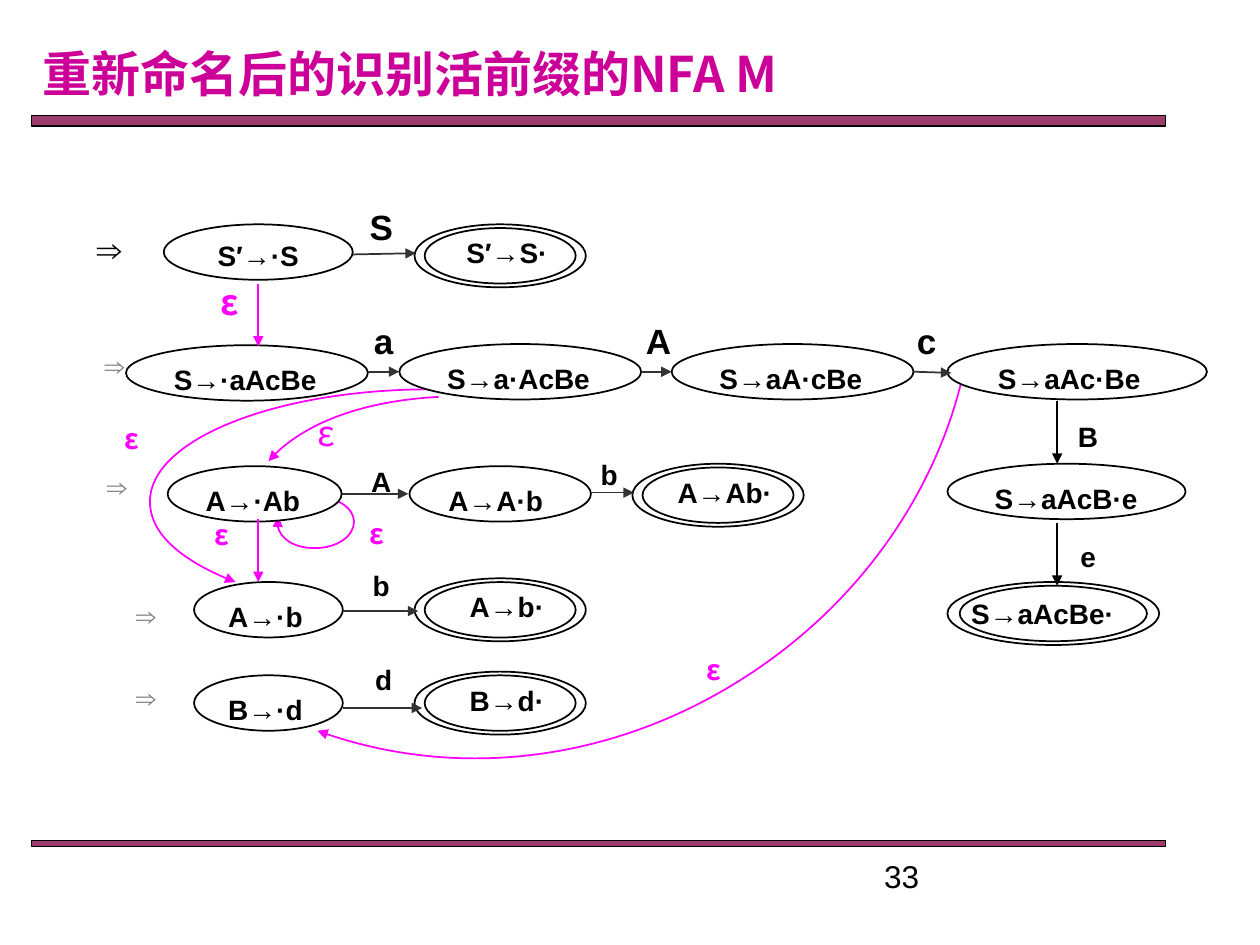
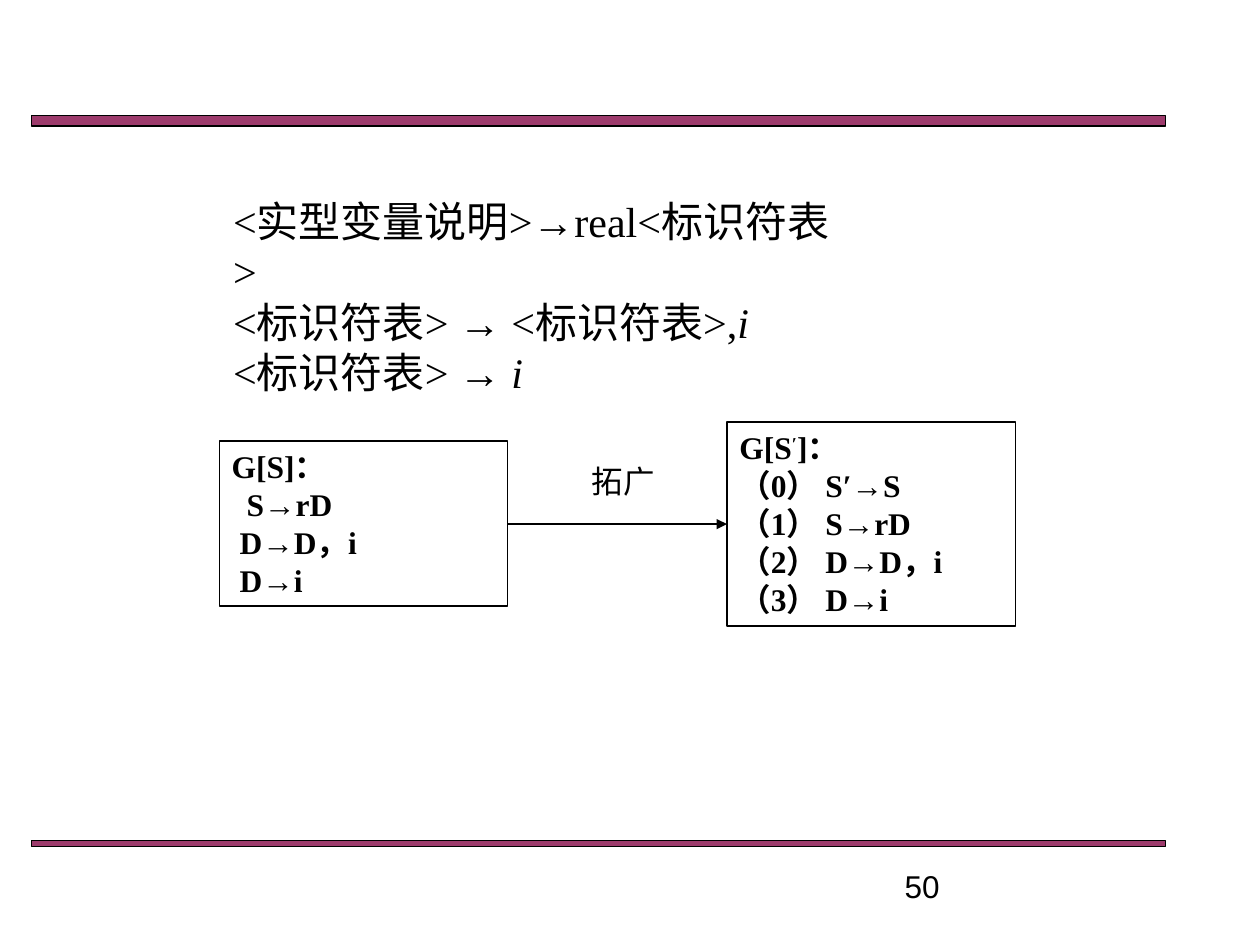
from lxml.etree import SubElement
from pptx import Presentation
from pptx.dml.color import RGBColor
from pptx.enum.shapes import MSO_CONNECTOR as Connector, MSO_SHAPE as Preset
from pptx.enum.text import MSO_ANCHOR as Anchor, MSO_AUTO_SIZE as AutoSize, PP_ALIGN as Align
from pptx.oxml.ns import qn
from pptx.util import Pt

COLORS = {
    "band": "993366", "title": "CC0099", "epsilon": "FF00FF", "edge": "333333",
    "black": "000000", "grey": "808080", "white": "FFFFFF",
}
CJK = "Noto Sans CJK SC"
BANDS = [(18, 66.2, 648, 5.8), (18, 480.2, 648, 3.6)]

NFA_TITLE = "重新命名后的识别活前缀的NFA M"
NFA_PAGE = ("33", 498.2, 486)
STATE_HEIGHT = 31.7
FINAL_HEIGHT = 36
START_STATE = ("S′→·S", 93.6, 128.2, 108)
STATES = [
    ("S→·aAcBe", 72, 197.3, 138.2),
    ("S→a·AcBe", 228.2, 196.6, 138.2),
    ("S→aA·cBe", 383.8, 196.6, 138.2),
    ("S→aAc·Be", 541.4, 196.6, 148.3),
    ("S→aAcB·e", 541.4, 265, 136.1),
    ("A→·Ab", 95.8, 266.4, 99.4),
    ("A→A·b", 234, 266.4, 103.7),
    ("A→·b", 110.9, 332.6, 85),
    ("B→·d", 110.9, 385.9, 85),
]
FINAL_STATES = [
    ("S′→S·", 236.9, 128.2, 97.9, 5.8),
    ("A→Ab·", 361.4, 265, 97.9, 5.8),
    ("A→b·", 236.9, 330.5, 97.9, 5.8),
    ("B→d·", 236.9, 383.8, 97.9, 5.8),
]
LAST_STATE = ("S→aAcBe·", 541.4, 332.6, 121, 7)
EDGES = {
    "edge": [
        (201.6, 145.4, 237.6, 144.7), (210.2, 212.4, 228.2, 212.4),
        (366.5, 212.4, 383.8, 212.4), (522, 212.4, 543.6, 213.1),
        (195.2, 282.2, 233.3, 282.2), (337.7, 281.5, 362.2, 281.5),
        (195.9, 349.2, 239, 349.2), (195.9, 404.6, 241.2, 404.6),
    ],
    "black": [(604.1, 229, 604.1, 265), (604.1, 298.8, 604.1, 334.8)],
    "epsilon": [(147.6, 162, 147.6, 198), (147.6, 296.6, 147.6, 332.6)],
}
EPSILON_CURVES = [
    [(549.4, 218.2), (533.5, 282.2), (493.2, 339.8), (437, 379.4),
     (360.7, 433.4), (264.2, 447.8), (181.4, 417.6)],
    [(246.2, 222.5), (157.7, 222.5), (85.7, 251.3), (85.7, 286.6),
     (85.7, 303.8), (103, 320.4), (134.6, 332.6)],
    [(250.6, 226.8), (208.8, 229), (171.4, 242.6), (153.4, 263.5)],
    [(165.6, 287.3), (169.2, 285.1), (175, 283.7), (180, 283.7),
     (192.2, 283.7), (202.3, 290.2), (202.3, 298.1),
     (202.3, 306.7), (192.2, 313.2), (180, 313.2),
     (167.8, 313.2), (158.4, 306.7), (158.4, 298.1),
     (158.4, 297.4), (158.4, 296), (159.1, 295.2)],
]
SYMBOLS = [
    ("S", 200.2, 113.8, 20), ("a", 201.6, 179.3, 20), ("A", 358.6, 179.3, 20),
    ("c", 511.9, 179.3, 20), ("B", 604.1, 236.2, 16), ("e", 604.1, 304.6, 16),
    ("A", 200.2, 262.1, 16), ("b", 330.5, 257.8, 16), ("b", 200.2, 321.1, 16),
    ("d", 201.6, 375.1, 16),
]
EPSILONS = [
    (396.7, 369.4, 16, True), (118.8, 157, 20, True), (64.1, 237.6, 16, True),
    (174.2, 231.8, 20, False), (204.3, 291.6, 16, True), (115.2, 292.3, 16, True),
]
ENTRIES = [
    (48.2, 126.7, 20, "black"), (52.6, 195.8, 16, "grey"), (54, 265, 16, "grey"),
    (70.6, 338.4, 16, "grey"), (70.6, 385.2, 16, "grey"),
]

GRAMMAR_PAGE = ("50", 509.8, 491.8)
ITALIC_I = ("i", {"italic": True})
DECLARATION_RULES = [
    ["<实型变量说明>→real<标识符表>"],
    ["<标识符表> → <标识符表>,", ITALIC_I],
    ["<标识符表> → ", ITALIC_I],
]
GRAMMARS = [
    ((125.3, 252, 164.9, 94.3),
     [["G[S]："], ["S→rD"], ["D→D，i"], ["D→i"]], [0, 8.5, 4.5, 4.5]),
    ((415.4, 241.2, 164.9, 116.6),
     [["G[S", ("′", {"baseline": "30000"}), "]："], ["（0） S′→S"], ["（1） S→rD"],
      ["（2） D→D，i"], ["（3） D→i"]], [0] * 5),
]
EXTENSION_ARROW = (290.2, 299.5, 415.4, 299.5)
EXTENSION_LABEL = "拓广"


def rgb(color):
    return RGBColor.from_string(COLORS[color])


def points(values):
    return [Pt(value) for value in values]


def apply(target, formats):
    for attribute, value in formats.items():
        setattr(target, attribute, value)


def write(frame, lines, font, color="black", paragraph=None, indents=None):
    apply(frame, {"word_wrap": True, "auto_size": AutoSize.NONE, "vertical_anchor": Anchor.TOP})
    for index, line in enumerate(lines):
        par = frame.paragraphs[0] if index == 0 else frame.add_paragraph()
        apply(par, {"alignment": Align.LEFT} | (paragraph or {}))
        if indents:
            properties = par._p.get_or_add_pPr()
            properties.set("marL", str(Pt(indents[index])))
            properties.set("indent", "0")
            SubElement(properties, qn("a:buNone"))
        for piece in line:
            text, extra = (piece, {}) if isinstance(piece, str) else piece
            run = par.add_run()
            run.text = text
            formats = font | extra
            baseline = formats.pop("baseline", None)
            apply(run.font, formats)
            run.font.color.rgb = rgb(color)
            if baseline:
                run.font._element.set("baseline", baseline)
            if font["name"] == CJK:
                SubElement(run.font._element, qn("a:ea"), typeface=CJK)


def arial(size, bold=True):
    return {"name": "Arial", "size": Pt(size), "bold": bold}


def add_label(shapes, text, box, font, color="black", **paragraph):
    write(shapes.add_textbox(*points(box)).text_frame, [[text]], font, color, paragraph)


def outline(shape, color="black", width=1, fill=None):
    shape.shadow.inherit = False
    shape.line.color.rgb = rgb(color)
    shape.line.width = Pt(width)
    if fill:
        shape.fill.solid()
        shape.fill.fore_color.rgb = rgb(fill)
    else:
        shape.fill.background()


def add_arrowhead(shape):
    SubElement(shape.line._get_or_add_ln(), qn("a:tailEnd"), type="triangle")


def add_arrow(slide, ends, color, width=1):
    arrow = slide.shapes.add_connector(Connector.STRAIGHT, *points(ends))
    arrow.line.color.rgb = rgb(color)
    arrow.line.width = Pt(width)
    add_arrowhead(arrow)
    SubElement(arrow._element.spPr, qn("a:effectLst"))


def add_curve(slide, knots):
    start, *controls = [points(knot) for knot in knots]
    builder = slide.shapes.build_freeform(*start)
    builder.add_line_segments(controls, close=False)
    curve = builder.convert_to_shape()
    outline(curve, "epsilon")
    add_arrowhead(curve)
    outline_path = next(curve._element.iter(qn("a:path")))
    for index, segment in enumerate(outline_path.findall(qn("a:lnTo"))):
        if index % 3 == 0:
            bezier = SubElement(outline_path, qn("a:cubicBezTo"))
        bezier.append(segment[0])
        outline_path.remove(segment)


def add_state(slide, text, left, top, width, **paragraph):
    state = slide.shapes.add_shape(Preset.OVAL, *points((left, top, width, STATE_HEIGHT)))
    outline(state, fill="white")
    if "line_spacing" in paragraph:
        state.text_frame.margin_right = 0
    write(state.text_frame, [[text]], arial(16), paragraph=paragraph)


def add_final_state(slide, text, left, top, width, gap, **paragraph):
    shapes = slide.shapes.add_group_shape().shapes
    inner = (left + gap, top + 2.15, width - 2 * gap, STATE_HEIGHT)
    for ring in (inner, (left, top, width, FINAL_HEIGHT)):
        outline(shapes.add_shape(Preset.OVAL, *points(ring)))
    add_label(shapes, text, (left + gap - 0.5, top + 3, width - 2.9, STATE_HEIGHT),
              arial(16), **paragraph)


def add_bands(prs, slide):
    for box in BANDS:
        band = slide.shapes.add_shape(Preset.RECTANGLE, *points(box))
        outline(band, width=0.75, fill="band")
        tint = band._element.spPr.find(qn("a:solidFill"))[0]
        SubElement(tint, qn("a:alpha"), val="96000")
        prs.slide_master.shapes._spTree.append(band._element)


def add_page_number(slide, number, left, top):
    add_label(slide.shapes, number, (left, top, 167.8, 19.4), arial(18, False))


def place(placeholder, box):
    apply(placeholder, dict(zip(("left", "top", "width", "height"), points(box))))


def build_nfa(slide):
    title = slide.shapes.title
    place(title, (17.3, 21.5, 520, 48.2))
    write(title.text_frame, [[NFA_TITLE]], {"name": CJK, "size": Pt(28), "bold": True}, "title")
    for knots in EPSILON_CURVES:
        add_curve(slide, knots)
    add_state(slide, *START_STATE, alignment=Align.CENTER)
    for state in STATES:
        add_state(slide, *state, line_spacing=1.1)
    for state in FINAL_STATES:
        add_final_state(slide, *state, alignment=Align.CENTER)
    add_final_state(slide, *LAST_STATE, line_spacing=1.1)
    for color, edges in EDGES.items():
        for ends in edges:
            add_arrow(slide, ends, color)
    for symbol, left, top, size in SYMBOLS:
        add_label(slide.shapes, symbol, (left, top, 35.3, STATE_HEIGHT), arial(size),
                  alignment=Align.CENTER)
    for left, top, size, bold in EPSILONS:
        add_label(slide.shapes, "ε", (left, top, 38, STATE_HEIGHT),
                  {"name": CJK, "size": Pt(size), "bold": bold}, "epsilon")
    for left, top, size, color in ENTRIES:
        add_label(slide.shapes, "⇒", (left, top, 46.8, 28.1), arial(size, color == "black"), color)
    add_page_number(slide, *NFA_PAGE)


def build_grammar(slide):
    title, rules = slide.placeholders
    title._element.getparent().remove(title._element)
    place(rules, (126, 108, 360, 122))
    times = {"name": "Times New Roman", "size": Pt(24), "bold": False}
    write(rules.text_frame, DECLARATION_RULES, times,
          paragraph={"space_before": Pt(0)}, indents=[0] * len(DECLARATION_RULES))
    for box, lines, indents in GRAMMARS:
        grammar = slide.shapes.add_shape(Preset.RECTANGLE, *points(box))
        outline(grammar, width=0.75)
        write(grammar.text_frame, lines, times | {"size": Pt(18), "bold": True}, indents=indents)
    add_arrow(slide, EXTENSION_ARROW, "black", 0.75)
    add_label(slide.shapes, EXTENSION_LABEL, (330.5, 260.6, 51.1, 28.8), arial(18, False),
              alignment=Align.CENTER)
    add_page_number(slide, *GRAMMAR_PAGE)


def main():
    prs = Presentation()
    apply(prs, {"slide_width": Pt(720), "slide_height": Pt(540)})
    nfa = prs.slides.add_slide(prs.slide_layouts[5])
    add_bands(prs, nfa)
    build_nfa(nfa)
    build_grammar(prs.slides.add_slide(prs.slide_layouts[1]))
    prs.save("out.pptx")


if __name__ == "__main__":
    main()
